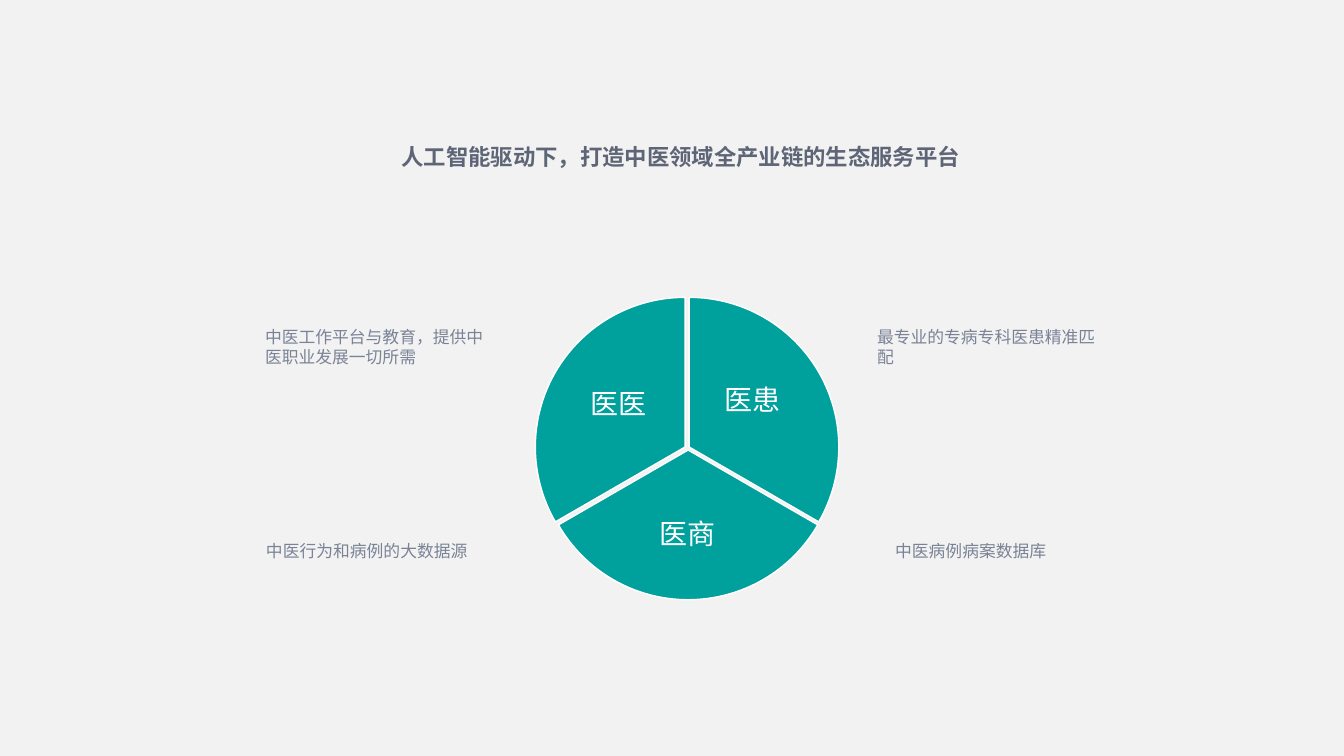
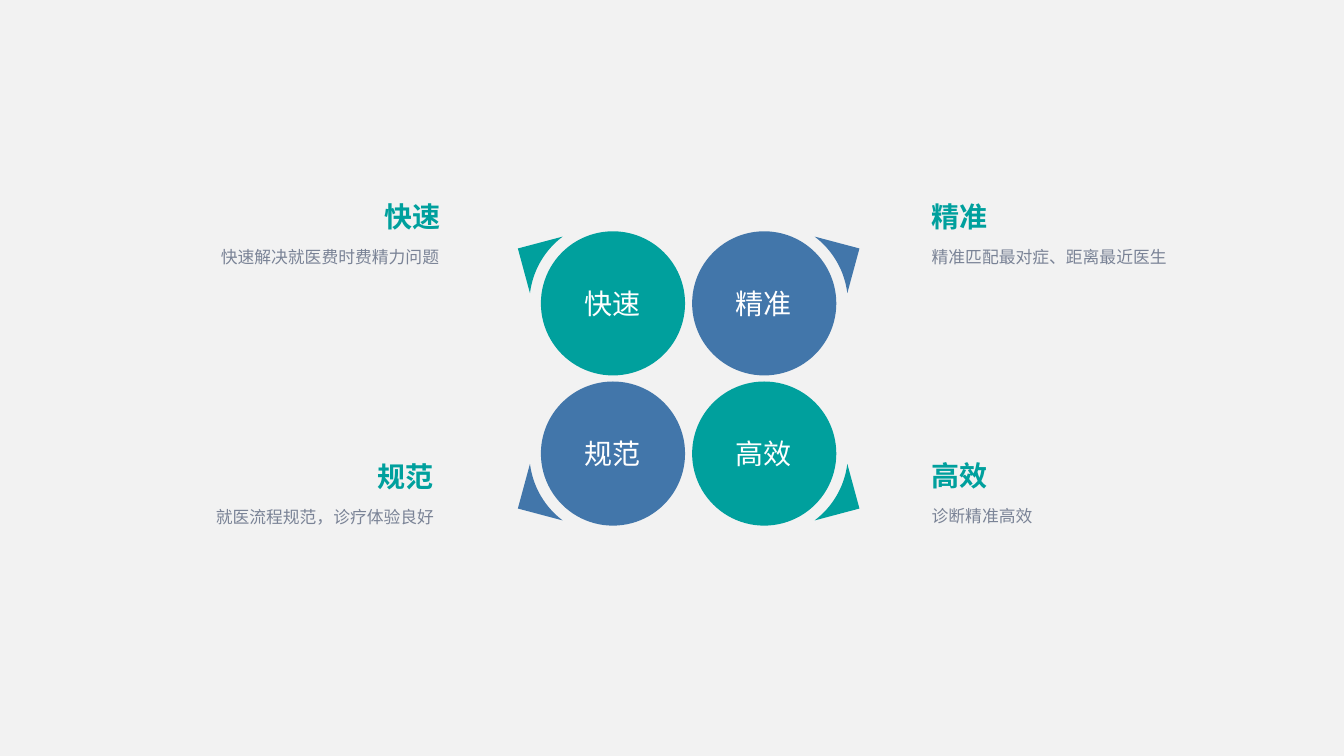
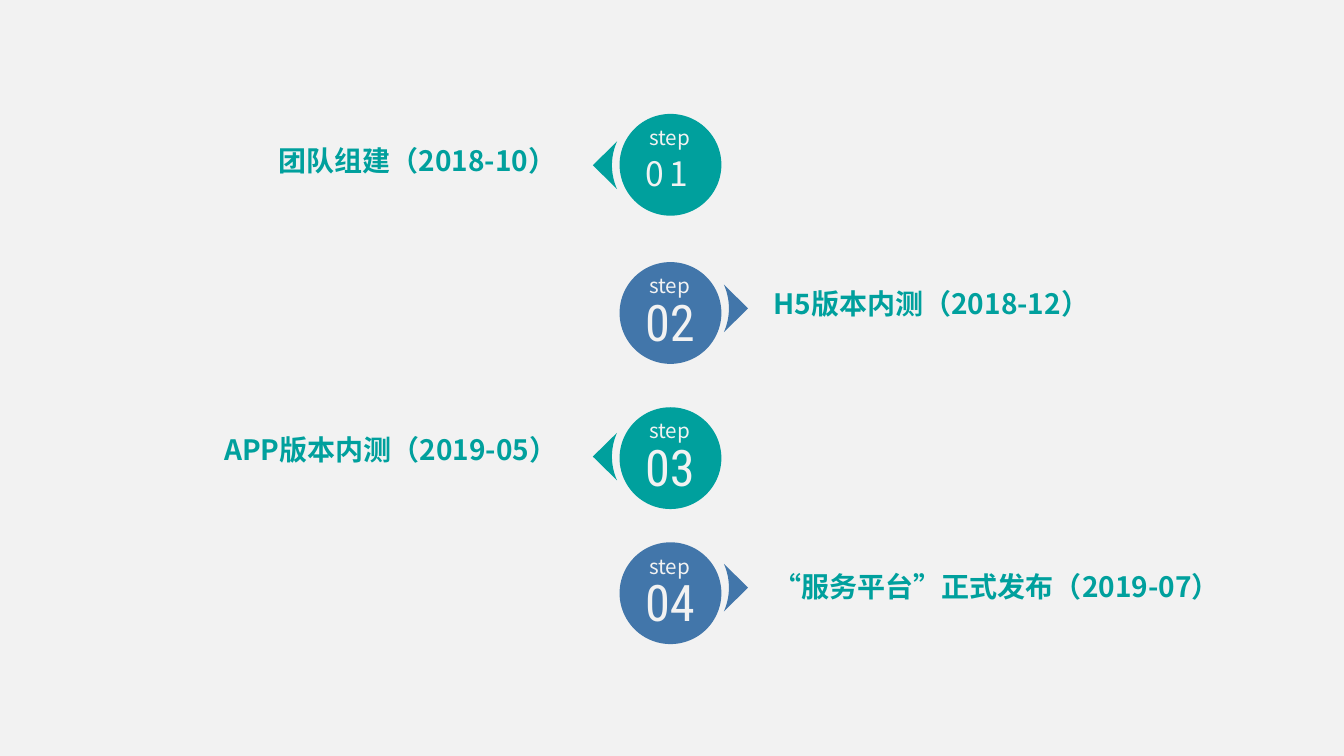
from math import cos, radians, sin

from lxml import etree
from pptx import Presentation
from pptx.dml.color import RGBColor
from pptx.enum.shapes import MSO_SHAPE
from pptx.enum.text import MSO_ANCHOR, MSO_AUTO_SIZE, PP_ALIGN
from pptx.oxml.ns import qn
from pptx.util import Inches, Pt

LEFT, CENTER, RIGHT, JUSTIFY = PP_ALIGN.LEFT, PP_ALIGN.CENTER, PP_ALIGN.RIGHT, PP_ALIGN.JUSTIFY
TOP, MIDDLE = MSO_ANCHOR.TOP, MSO_ANCHOR.MIDDLE
GROW, FIXED = MSO_AUTO_SIZE.SHAPE_TO_FIT_TEXT, MSO_AUTO_SIZE.NONE
ELLIPSE, PIE = MSO_SHAPE.OVAL, MSO_SHAPE.BLOCK_ARC if not hasattr(MSO_SHAPE, "PIE") else MSO_SHAPE.PIE

TEAL, BLUE, PALE, WHITE = "00A09D", "4276AA", "F2F2F2", "FFFFFF"
SLATE, GREY = "5E6576", "7A8396"
SANS, CONDENSED = "Noto Sans CJK SC", "Roboto Condensed"

TITLE = {"size": 16, "color": SLATE, "bold": True}
HEADING = {"size": 20, "color": TEAL, "bold": True}
BODY = {"size": 12, "color": GREY}
LABEL = {"size": 20, "color": WHITE}
STEP = {"size": 14.7, "color": PALE}
NUMBER = {"size": 36, "color": PALE, "name": CONDENSED}
FIRST_NUMBER = {"size": 24, "color": PALE}


def rgb(value):
    return RGBColor.from_string(value)


class Deck:
    def __init__(self):
        self.prs = Presentation()
        self.prs.slide_width, self.prs.slide_height = Inches(13.33), Inches(7.5)
        fill = self.prs.slide_master.background.fill
        fill.solid()
        fill.fore_color.rgb = rgb(PALE)
        self.s = None

    def new_slide(self):
        self.s = self.prs.slides.add_slide(self.prs.slide_layouts[6])

    def paint(self, sp, color, line=None):
        sp.shadow.inherit = False
        sp.fill.solid()
        sp.fill.fore_color.rgb = rgb(color)
        if line:
            sp.line.color.rgb = rgb(line)
            sp.line.width = Pt(1)
        else:
            sp.line.fill.background()

    def text(self, text, x, y, w, h, style, align=LEFT, inset=(0, 0), anchor=TOP,
             wrap=True, grow=GROW, leading=None, tracking=None):
        sp = self.s.shapes.add_textbox(Inches(x), Inches(y), Inches(w), Inches(h))
        tf = sp.text_frame
        across, down = Inches(inset[0]), Inches(inset[1])
        frame = {"margin_left": across, "margin_right": across, "margin_top": down,
                 "margin_bottom": down, "word_wrap": wrap, "auto_size": grow,
                 "vertical_anchor": anchor}
        for name, value in frame.items():
            setattr(tf, name, value)
        p = tf.paragraphs[0]
        p.alignment = align
        p.line_spacing = leading
        r = p.add_run()
        r.text = text
        font = {"name": SANS, "bold": False, **style}
        font["size"] = Pt(font["size"])
        r.font.color.rgb = rgb(font.pop("color"))
        for name, value in font.items():
            setattr(r.font, name, value)
        rpr = r.font._element
        etree.SubElement(rpr, qn("a:ea")).set("typeface", font["name"])
        if tracking:
            rpr.set("spc", str(tracking * 100))

    def circle(self, cx, cy, d, color):
        sp = self.s.shapes.add_shape(ELLIPSE, Inches(cx - d / 2), Inches(cy - d / 2),
                                     Inches(d), Inches(d))
        self.paint(sp, color)

    def pie(self, x, y, d, start, end):
        sp = self.s.shapes.add_shape(PIE, Inches(x), Inches(y), Inches(d), Inches(d))
        sp.adjustments[0] = start * 0.6
        sp.adjustments[1] = end * 0.6
        self.paint(sp, TEAL, WHITE)

    def pointer(self, cx, cy, radius, tip, angle, spread, color):
        def polar(r, degrees):
            a = radians(degrees)
            return Inches(cx + r * cos(a)), Inches(cy + r * sin(a))

        steps = 24
        arc = [polar(radius, angle - spread + 2 * spread * i / steps) for i in range(steps + 1)]
        builder = self.s.shapes.build_freeform(*arc[0], scale=1.0)
        builder.add_line_segments(arc[1:] + [polar(tip, angle)], close=True)
        self.paint(builder.convert_to_shape(), color)


def ecosystem(deck):
    deck.new_slide()
    slices = [
        ("医患", 5.35, 2.95, 270, 30, (6.96, 3.49, 1.01, 0.99)),
        ("医商", 5.34, 2.98, 30, 150, (6.15, 4.85, 1.34, 0.92)),
        ("医医", 5.31, 2.95, 150, 270, (5.63, 3.53, 1.01, 0.99)),
    ]
    for label, x, y, start, end, box in slices:
        deck.pie(x, y, 2.97, start, end)
        deck.text(label, *box, LABEL, CENTER, (0.03, 0.03), MIDDLE, grow=FIXED, leading=0.9)
    notes = [
        ("中医工作平台与教育，提供中医职业发展一切所需", 2.53, 3.19, 2.39, 0.5),
        ("中医行为和病例的大数据源", 2.54, 5.32, 2.26, 0.3),
        ("最专业的专病专科医患精准匹配", 8.6, 3.19, 2.38, 0.5),
        ("中医病例病案数据库", 8.78, 5.32, 2.53, 0.3),
    ]
    for note in notes:
        deck.text(*note, BODY, inset=(0.1, 0.05))
    deck.text("人工智能驱动下，打造中医领域全产业链的生态服务平台", 1.84, 1.37, 9.83, 0.37,
              TITLE, CENTER, (0.1, 0.05))


def advantages(deck):
    deck.new_slide()
    items = [
        ("快速", "快速解决就医费时费精力问题", TEAL, 210, 2.33, 1.98, 2.19, 2.38),
        ("精准", "精准匹配最对症、距离最近医生", BLUE, 330, 9.24, 1.98, 9.24, 2.65),
        ("规范", "就医流程规范，诊疗体验良好", BLUE, 150, 2.26, 4.56, 2.14, 2.28),
        ("高效", "诊断精准高效", TEAL, 30, 9.24, 4.55, 9.24, 1.28),
    ]
    for i, (name, detail, color, angle, head_x, head_y, body_x, body_w) in enumerate(items):
        row, col = divmod(i, 2)
        cx, cy = 6.08 + 1.5 * col, 3.01 + 1.49 * row
        deck.pointer(cx, cy, 0.83, 1.09, angle, 23, color)
        deck.circle(cx, cy, 1.43, color)
        deck.text(name, cx - 0.65, cy - 0.17, 1.29, 0.33, LABEL, CENTER)
        deck.text(name, head_x, head_y, 2.04, 0.34, HEADING, LEFT if col else RIGHT)
        deck.text(detail, body_x, head_y + 0.46, body_w, 0.2, BODY, JUSTIFY, leading=Pt(15))


def milestones(deck):
    deck.new_slide()
    steps = [
        ("团队组建（2018-10）", 1.13, 1.64, 2.37, 1.42, 3.15),
        ("H5版本内测（2018-12）", 2.6, 3.06, 7.67, 2.84, 3.7),
        ("APP版本内测（2019-05）", 4.04, 4.53, 1.71, 4.29, 3.82),
        ("“服务平台”正式发布（2019-07）", 5.38, 5.83, 7.67, 5.65, 5.23),
    ]
    cx, d = 6.65, 1.01
    for i, (name, top, pointer_y, x, y, w) in enumerate(steps):
        on_right = i % 2
        color = BLUE if on_right else TEAL
        deck.pointer(cx, pointer_y, 0.58, 0.77, 0 if on_right else 180, 24, color)
        deck.circle(cx, top + d / 2, d, color)
        number = f"{i + 1:02}"
        if i == 0:
            deck.text(number, 6.4, top + 0.39, 0.53, 0.4, FIRST_NUMBER, JUSTIFY,
                      wrap=False, tracking=4)
        else:
            deck.text(number, 6.39, top + 0.29, 0.51, 0.61, NUMBER, CENTER, wrap=False)
        deck.text("step", 6.43, top + 0.11, 0.42, 0.25, STEP, CENTER, wrap=False)
        deck.text(name, x, y, w, 0.34, HEADING, LEFT if on_right else RIGHT)


def main():
    deck = Deck()
    ecosystem(deck)
    advantages(deck)
    milestones(deck)
    deck.prs.save("out.pptx")


if __name__ == "__main__":
    main()
